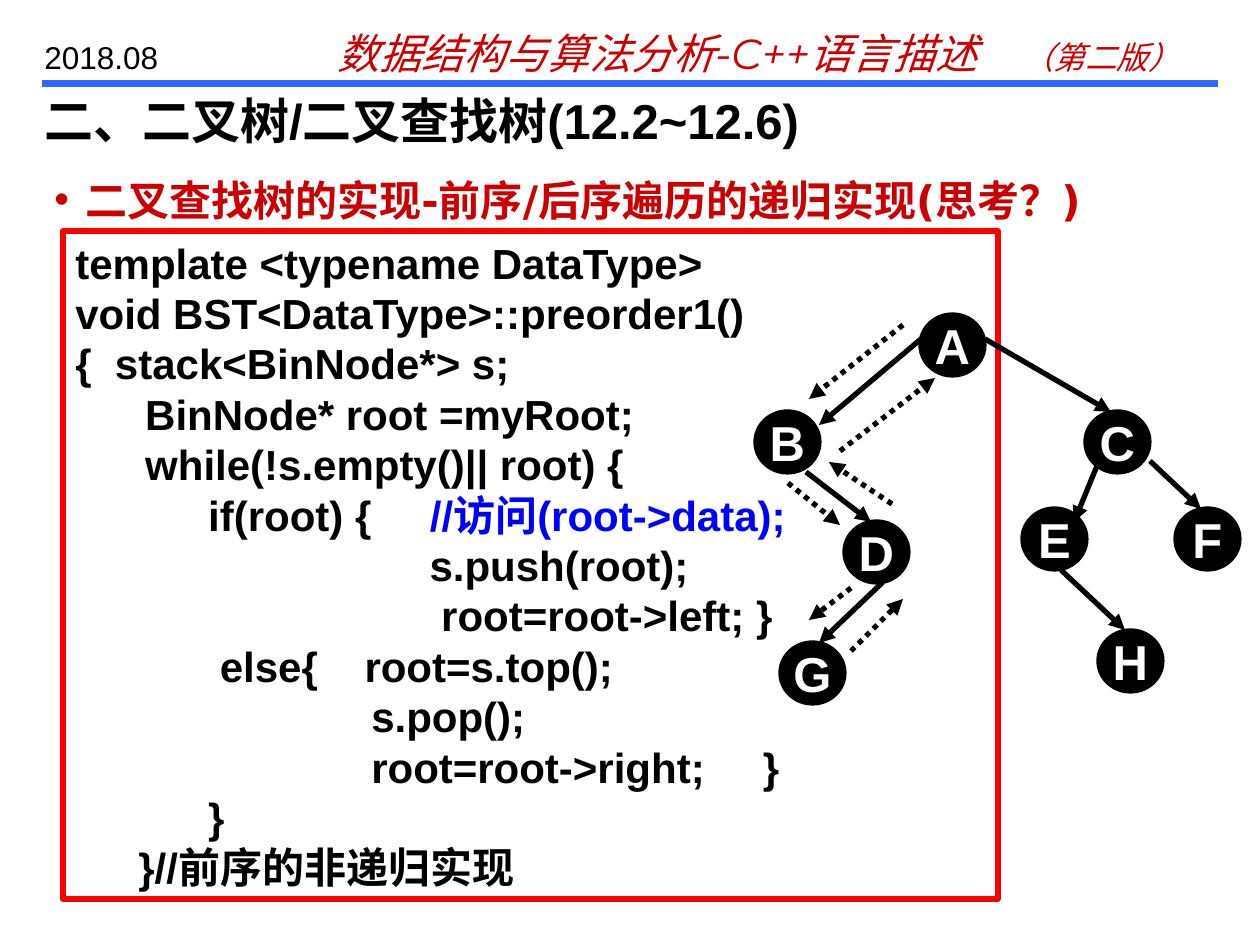
"""Build a slide on traversing a binary search tree without recursion."""
from lxml import etree
from pptx import Presentation
from pptx.dml.color import RGBColor
from pptx.enum.dml import MSO_LINE
from pptx.enum.shapes import MSO_CONNECTOR, MSO_SHAPE
from pptx.enum.text import MSO_ANCHOR, PP_ALIGN
from pptx.oxml.ns import qn
from pptx.util import Emu, Pt

STRAIGHT = MSO_CONNECTOR.STRAIGHT
RECTANGLE, OVAL = MSO_SHAPE.RECTANGLE, MSO_SHAPE.OVAL
TOP, MIDDLE = MSO_ANCHOR.TOP, MSO_ANCHOR.MIDDLE
LEFT, CENTER = PP_ALIGN.LEFT, PP_ALIGN.CENTER
DOTTED = MSO_LINE.ROUND_DOT

BLACK = RGBColor(0x00, 0x00, 0x00)
WHITE = RGBColor(0xFF, 0xFF, 0xFF)
DARK_RED = RGBColor(0xCC, 0x00, 0x00)
RED = RGBColor(0xFF, 0x00, 0x00)
BLUE = RGBColor(0x00, 0x00, 0xFF)
RULE_BLUE = RGBColor(0x33, 0x66, 0xFF)

PX = 914400 / 126


def px(*lengths):
    return [Emu(round(length * PX)) for length in lengths]


def add_line(start, end, color, width):
    line = slide.shapes.add_connector(STRAIGHT, *px(*start, *end))
    line.line.color.rgb = color
    line.line.width = Pt(width)
    etree.SubElement(line._element.spPr, qn("a:effectLst"))
    return line


prs = Presentation()
prs.slide_width, prs.slide_height = px(1260, 945)
slide = prs.slides.add_slide(prs.slide_layouts[6])

add_line((42, 84), (1218, 84), RULE_BLUE, 4)

headings = [
    ((325, 21, 882, 63), "数据结构与算法分析-C++语言描述\t", 24, "Montserrat", DARK_RED, False),
    ((32, 32, 179, 50), "2018.08", 18, "Arial", BLACK, False),
    ((42, 168, 1218, 63), "二叉查找树的实现-前序/后序遍历的递归实现(思考？)", 24, "DejaVu Sans", DARK_RED, True),
    ((32, 84, 1228, 63), "二、二叉树/二叉查找树(12.2~12.6)", 28, "Arial", BLACK, True),
]
heading_paragraphs = []
for bounds, text, size, font_name, color, bold in headings:
    frame = slide.shapes.add_textbox(*px(*bounds)).text_frame
    frame.word_wrap = True
    paragraph = frame.paragraphs[0]
    paragraph.text = text
    font = paragraph.runs[0].font
    font.size, font.name, font.bold = Pt(size), font_name, bold
    font.color.rgb = color
    heading_paragraphs.append(paragraph)

book, date, topic, title = heading_paragraphs
book.runs[0].font.italic = True
edition = book.add_run()
edition.text = "（第二版）"
edition.font.size, edition.font.name, edition.font.italic = Pt(18), "Montserrat", True
edition.font.color.rgb = DARK_RED
edition_gap = etree.SubElement(book._p.get_or_add_pPr(), qn("a:tabLst"))
etree.SubElement(edition_gap, qn("a:tab"), pos=str(px(685)[0]), algn="l")

topic_format = topic._p.get_or_add_pPr()
topic_indent = px(31)[0]
topic_format.set("marL", str(topic_indent))
topic_format.set("indent", str(-topic_indent))
etree.SubElement(topic_format, qn("a:buFont"), typeface="Arial")
etree.SubElement(topic_format, qn("a:buChar"), char="•")

code_lines = [
    (0, ["template <typename DataType>"]),
    (0, ["void BST<DataType>::preorder1()"]),
    (0, ["{  stack<BinNode*> s;"]),
    (0, ["      BinNode* root =myRoot;"]),
    (0, ["      while(!s.empty()|| root) {"]),
    (63, ["      if(root) {     ", "//访问(root->data);"]),
    (63, ["                         s.push(root);"]),
    (63, ["                          root=root->left; }"]),
    (63, ["       else{    root=s.top();"]),
    (63, ["                    s.pop();"]),
    (63, ["                    root=root->right;     }"]),
    (63, ["      }"]),
    (63, ["}//前序的非递归实现"]),
]
code_box = slide.shapes.add_shape(RECTANGLE, *px(63, 231, 935, 668))
code_box.shadow.inherit = False
code_box.fill.background()
code_box.line.color.rgb = RED
code_box.line.width = Pt(3)
code_frame = code_box.text_frame
code_frame.word_wrap = True
code_frame.vertical_anchor = TOP
for number, (indent, parts) in enumerate(code_lines):
    paragraph = code_frame.add_paragraph() if number else code_frame.paragraphs[0]
    paragraph.alignment = LEFT
    paragraph.line_spacing = Pt(28.8)
    paragraph._p.get_or_add_pPr().set("marL", str(px(indent)[0]))
    for part, color in zip(parts, (BLACK, BLUE)):
        run = paragraph.add_run()
        run.text = part
        run.font.size, run.font.name, run.font.bold = Pt(24), "Arial", True
        run.font.color.rgb = color

nodes = {
    "A": (921, 315), "B": (756, 412), "C": (1086, 412), "D": (845, 522),
    "E": (1023, 509), "F": (1176, 509), "G": (781, 643), "H": (1099, 631),
}
for letter, corner in nodes.items():
    node = slide.shapes.add_shape(OVAL, *px(*corner, 63, 60))
    node.shadow.inherit = False
    node.fill.solid()
    node.fill.fore_color.rgb = BLACK
    node.line.color.rgb = BLACK
    node.line.width = Pt(3)
    node.text_frame.word_wrap = False
    node.text_frame.vertical_anchor = MIDDLE
    label = node.text_frame.paragraphs[0]
    label.text = letter
    label.alignment = CENTER
    font = label.runs[0].font
    font.size, font.name, font.bold = Pt(28), "Arial", True
    font.color.rgb = WHITE

tree_edges = [
    ((921, 339), (819, 425)), ((985, 339), (1111, 412)),
    ((883, 582), (819, 643)), ((806, 472), (871, 522)),
    ((1099, 461), (1074, 522)), ((1150, 461), (1201, 509)),
    ((1061, 570), (1125, 630)),
]
traversal_steps = [
    ((903, 325), (809, 399)), ((840, 451), (935, 378)),
    ((788, 483), (840, 525)), ((892, 504), (829, 462)),
    ((851, 588), (809, 620)), ((851, 651), (903, 599)),
]
for arrows, dash in ((tree_edges, None), (traversal_steps, DOTTED)):
    for start, end in arrows:
        arrow = add_line(start, end, BLACK, 3)
        arrow.line.dash_style = dash
        etree.SubElement(arrow.line._get_or_add_ln(), qn("a:tailEnd"), type="triangle")

prs.save("out.pptx")
